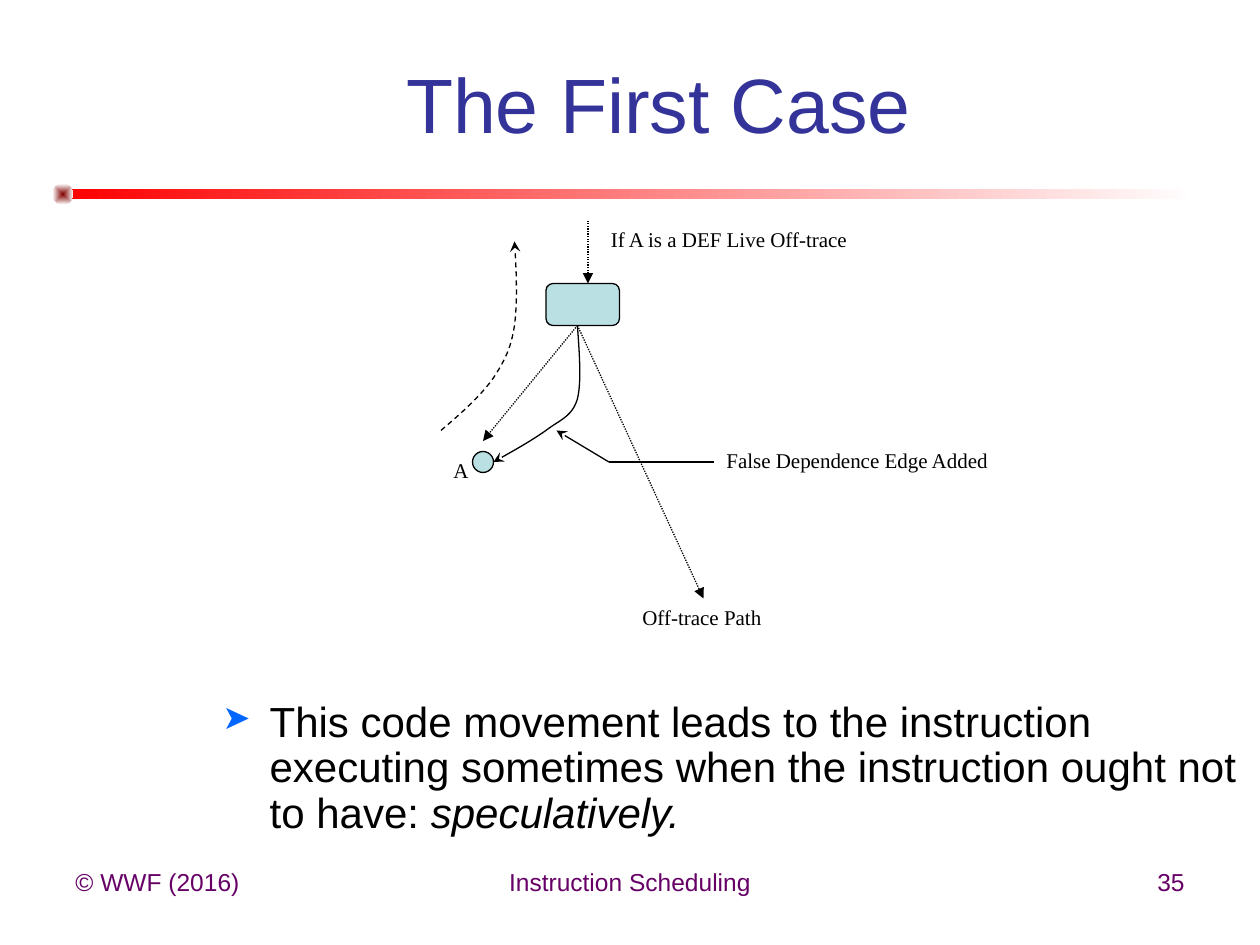
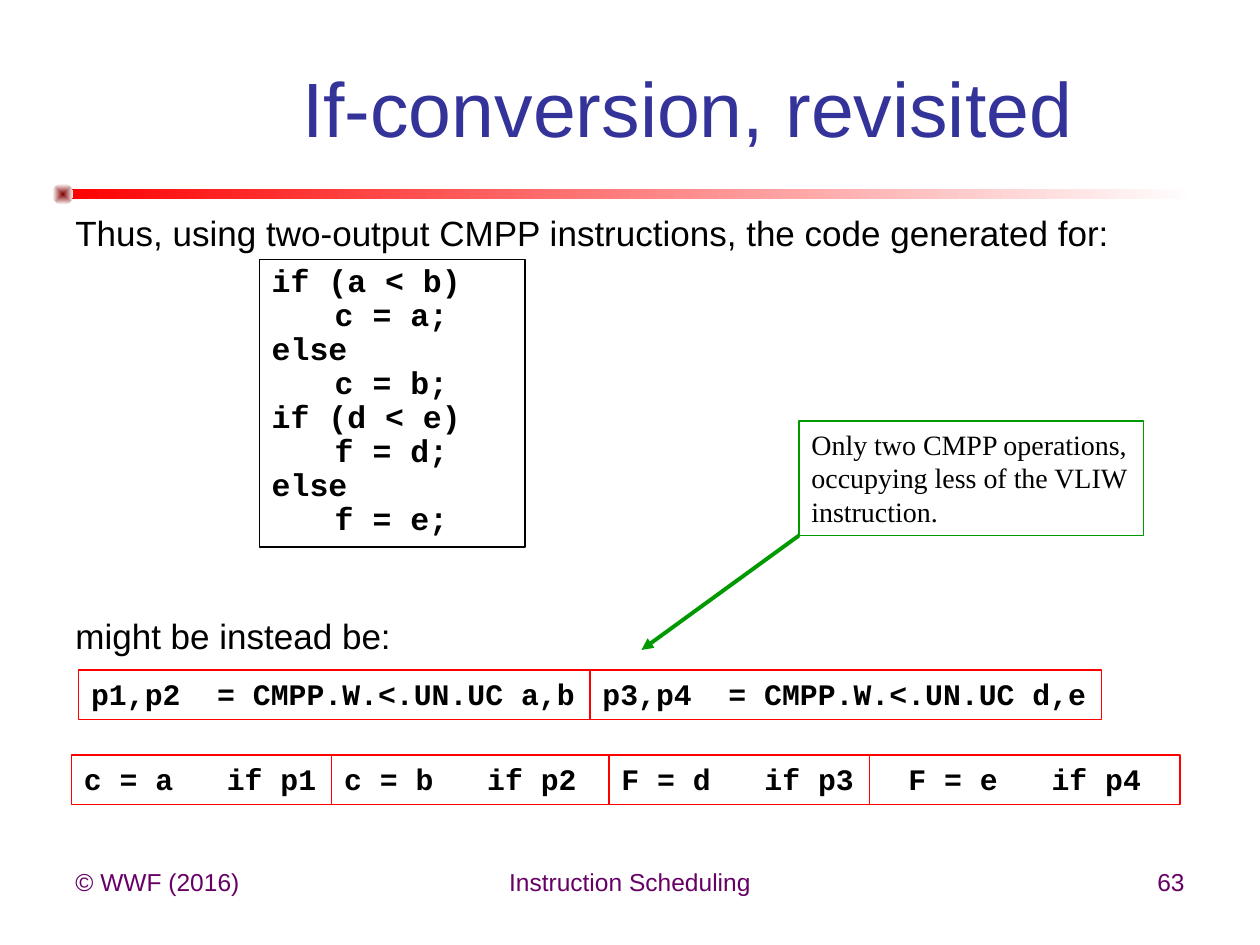
from dataclasses import dataclass
from typing import NamedTuple, Optional

from lxml.etree import SubElement
from pptx import Presentation
from pptx.dml.color import RGBColor as RGB
from pptx.enum.dml import MSO_LINE as Dash
from pptx.enum.shapes import MSO_CONNECTOR as Conn, MSO_SHAPE as Shape
from pptx.enum.text import MSO_ANCHOR as Anchor, PP_ALIGN as Align
from pptx.oxml.ns import qn
from pptx.util import Emu, Pt

PX = 7620  # 120 px to the inch


def px(n: float) -> Emu:
    return Emu(round(n * PX))


# ---- Theme and part descriptions ----
@dataclass(frozen=True)
class Theme:
    sans: str = "Arial"
    serif: str = "Times New Roman"
    mono: str = "Courier New"
    black: str = "000000"
    white: str = "FFFFFF"
    title: str = "333399"
    footer: str = "660066"
    bar: str = "FF0000"
    knob: str = "800000"
    bullet: str = "0066FF"
    node: str = "BBE0E3"
    note: str = "009900"
    title_pt: int = 44
    point_pt: int = 24
    lead_pt: int = 20
    code_pt: int = 18
    op_pt: int = 17
    note_pt: int = 16
    footer_pt: int = 14
    label_pt: int = 12
    thin: float = 0.75
    thick: float = 2.25
    tight: float = 0.9


T = Theme()


class Box(NamedTuple):
    x: int
    y: int
    w: int
    h: int

    def emu(self) -> tuple:
        return tuple(px(n) for n in self)


class Style(NamedTuple):
    font: str
    size: int
    color: str = T.black
    bold: bool = False
    align: Align = Align.LEFT
    spacing: Optional[float] = None
    anchor: Anchor = Anchor.TOP
    wrap: bool = True


class Label(NamedTuple):
    text: str
    box: Box


class Arrow(NamedTuple):
    start: tuple
    end: tuple
    tip: Optional[str] = "triangle"
    dash: Optional[Dash] = None
    color: str = T.black
    width: float = T.thin


class Curve(NamedTuple):
    start: tuple
    beziers: list  # control, control, end
    dash: Optional[Dash] = None


class Operation(NamedTuple):
    text: str
    width: int
    align: Align = Align.LEFT


TITLE = Style(T.sans, T.title_pt, T.title, align=Align.CENTER, anchor=Anchor.MIDDLE)
FOOTER = Style(T.sans, T.footer_pt, T.footer)
POINT = Style(T.sans, T.point_pt, spacing=T.tight)
LEAD = Style(T.sans, T.lead_pt, spacing=T.tight)
LABEL = Style(T.serif, T.label_pt)
NOTE = Style(T.serif, T.note_pt, wrap=False)
CODE = Style(T.mono, T.code_pt, bold=True, spacing=T.tight, wrap=False)
OP = Style(T.mono, T.op_pt, bold=True, wrap=False)


# ---- Drawing helpers ----
def format_text(sp, style: Style) -> None:
    tf = sp.text_frame
    tf.word_wrap = style.wrap
    tf.vertical_anchor = style.anchor
    for p in tf.paragraphs:
        p.alignment = style.align
        if style.spacing:
            p.line_spacing = style.spacing
        for r in p.runs:
            r.font.name = style.font
            r.font.size = Pt(style.size)
            r.font.bold = style.bold
            r.font.color.rgb = RGB.from_string(style.color)


def add_text(s, text: str, box: Box, style: Style):
    sp = s.shapes.add_textbox(*box.emu())
    sp.text_frame.text = text
    format_text(sp, style)
    return sp


def style_line(sp, color: str, width: float = T.thin,
               dash: Optional[Dash] = None, tip: Optional[str] = None) -> None:
    sp.line.color.rgb = RGB.from_string(color)
    sp.line.width = Pt(width)
    if dash:
        sp.line.dash_style = dash
    if tip:
        SubElement(sp.line._get_or_add_ln(), qn("a:tailEnd"), type=tip)


def add_solid(s, kind: Shape, box: Box, fill: str):
    sp = s.shapes.add_shape(kind, *box.emu())
    sp.shadow.inherit = False
    sp.fill.solid()
    sp.fill.fore_color.rgb = RGB.from_string(fill)
    style_line(sp, T.black)
    return sp


def add_frame(s, text: str, box: Box, style: Style, color: str):
    sp = s.shapes.add_shape(Shape.RECTANGLE, *box.emu())
    sp.shadow.inherit = False
    sp.fill.background()
    style_line(sp, color)
    sp.text_frame.text = text
    format_text(sp, style)
    return sp


def add_fade(s, kind: Shape, box: Box, color: str, from_center: bool = False) -> None:
    sp = s.shapes.add_shape(kind, *box.emu())
    sp.shadow.inherit = False
    sp.line.fill.background()
    sp.fill.gradient()
    sp.fill.gradient_angle = 0
    for stop, c in zip(sp.fill.gradient_stops, (color, T.white)):
        stop.color.rgb = RGB.from_string(c)
    if from_center:
        grad = sp._element.spPr.find(qn("a:gradFill"))
        grad.remove(grad.find(qn("a:lin")))
        shade = SubElement(grad, qn("a:path"), path="shape")
        SubElement(shade, qn("a:fillToRect"), {side: "50000" for side in "ltrb"})


def add_arrow(s, a: Arrow):
    c = s.shapes.add_connector(Conn.STRAIGHT, *(px(n) for n in a.start + a.end))
    style_line(c, a.color, a.width, a.dash, a.tip)
    SubElement(c._element.spPr, qn("a:effectLst"))
    return c


def add_curve(s, curve: Curve, steps: int = 12) -> None:
    points, p0 = [], curve.start
    for p1, p2, p3 in curve.beziers:
        for i in range(1, steps + 1):
            t = i / steps
            u = 1 - t
            points.append(tuple(
                px(u**3 * a + 3 * u * u * t * b + 3 * u * t * t * c + t**3 * d)
                for a, b, c, d in zip(p0, p1, p2, p3)))
        p0 = p3
    fb = s.shapes.build_freeform(*(px(n) for n in curve.start))
    fb.add_line_segments(points, close=False)
    sp = fb.convert_to_shape()
    sp.shadow.inherit = False
    sp.fill.background()
    style_line(sp, T.black, dash=curve.dash, tip="stealth")


def add_operations(s, x: int, y: int, operations: list) -> None:
    for op in operations:
        add_frame(s, op.text, Box(x, y, op.width, 47),
                  OP._replace(align=op.align), T.bar)
        x += op.width


def add_bullet(p) -> None:
    pPr = p._p.get_or_add_pPr()
    pPr.set("marL", str(px(45)))
    pPr.set("indent", str(px(-45)))
    color = SubElement(pPr, qn("a:buClr"))
    SubElement(color, qn("a:srgbClr"), val=T.bullet)
    SubElement(pPr, qn("a:buSzPct"), val="80000")
    SubElement(pPr, qn("a:buChar"), char="➤")


# ---- Shared slide frame ----
def new_slide(prs, title: str, title_box: Box, number: int):
    s = prs.slides.add_slide(prs.slide_layouts[6])
    add_fade(s, Shape.RECTANGLE, Box(60, 180, 1080, 10), T.bar)
    add_fade(s, Shape.OVAL, Box(50, 175, 20, 20), T.knob, from_center=True)
    for text, x, w, align in (("© WWF (2016)", 60, 280, Align.LEFT),
                              ("Instruction Scheduling", 410, 380, Align.CENTER),
                              (str(number), 860, 280, Align.RIGHT)):
        add_text(s, text, Box(x, 820, w, 62), FOOTER._replace(align=align))
    add_text(s, title, title_box, TITLE)
    return s


# ---- Slides ----
def first_case(prs) -> None:
    s = new_slide(prs, "The First Case", Box(139, 66, 977, 64), 35)

    # Conclusion
    sp = add_text(s, "This code movement leads to the instruction executing sometimes "
                  "when the instruction ought not to have: ", Box(200, 662, 1000, 130), POINT)
    p = sp.text_frame.paragraphs[0]
    add_bullet(p)
    r = p.add_run()
    r.text = "speculatively."
    format_text(sp, POINT)
    r.font.italic = True

    # Trace nodes and paths
    add_solid(s, Shape.OVAL, Box(450, 430, 20, 20), T.node)
    add_solid(s, Shape.FLOWCHART_ALTERNATE_PROCESS, Box(520, 270, 70, 40), T.node)
    for start, end in (((560, 210), (560, 270)),
                       ((550, 310), (670, 570)),
                       ((550, 310), (460, 420))):
        add_arrow(s, Arrow(start, end, dash=Dash.ROUND_DOT))

    # False dependence edge and upward code motion
    add_curve(s, Curve((550, 310), [((552, 337), (554, 364), (550, 380)),
                                    ((545, 397), (533, 400), (520, 410)),
                                    ((506, 420), (488, 430), (470, 440))]))
    add_curve(s, Curve((420, 410), [((439, 394), (458, 377), (470, 360)),
                                    ((481, 343), (487, 331), (490, 310)),
                                    ((493, 288), (492, 259), (490, 230))], Dash.DASH))

    # Labels
    for label in (Label("A", Box(420, 430, 60, 36)),
                  Label("If A is a DEF Live Off-trace", Box(570, 210, 410, 36)),
                  Label("Off-trace Path", Box(600, 570, 170, 36))):
        add_text(s, label.text, label.box, LABEL)
    edge_label = add_text(s, "False Dependence Edge Added", Box(680, 420, 280, 40), LABEL)

    # Leader from the label to the edge
    add_arrow(s, Arrow((580, 440), (530, 410), tip="stealth"))
    leader = add_arrow(s, Arrow((580, 440), (680, 440), tip=None))
    leader.end_connect(edge_label, 1)


def if_conversion(prs) -> None:
    s = new_slide(prs, "If-conversion, revisited", Box(170, 52, 970, 100), 63)

    # Lead-in lines
    for text, y in (("Thus, using two-output CMPP instructions, the code generated for:", 200),
                    ("might be instead be:", 584)):
        add_text(s, text, Box(60, y, 1080, 44), LEAD)

    # Generated instructions
    add_operations(s, 75, 638, [Operation("p1,p2\t= CMPP.W.<.UN.UC a,b", 487),
                                Operation("p3,p4\t= CMPP.W.<.UN.UC d,e", 487)])
    add_operations(s, 68, 719, [Operation("c = a   if p1", 248),
                                Operation("c = b   if p2", 264),
                                Operation("F = d   if p3", 248),
                                Operation("F = e   if p4", 296, Align.CENTER)])

    # Remark pointing at the comparisons
    add_frame(s, "Only two CMPP operations,\noccupying less of the VLIW\ninstruction.",
              Box(761, 401, 328, 109), NOTE, T.note)
    add_arrow(s, Arrow((761, 510), (611, 619), color=T.note, width=T.thick))

    # Source code
    branches = (("a < b", "c", "a", "b"), ("d < e", "f", "d", "e"))
    code = "\n".join(f"if ({test})\n\t{var} = {yes};\nelse\n\t{var} = {no};"
                     for test, var, yes, no in branches)
    add_frame(s, code, Box(247, 247, 253, 274), CODE, T.black)


def main() -> None:
    prs = Presentation()
    prs.slide_width, prs.slide_height = px(1200), px(900)
    first_case(prs)
    if_conversion(prs)
    prs.save("out.pptx")


if __name__ == "__main__":
    main()
